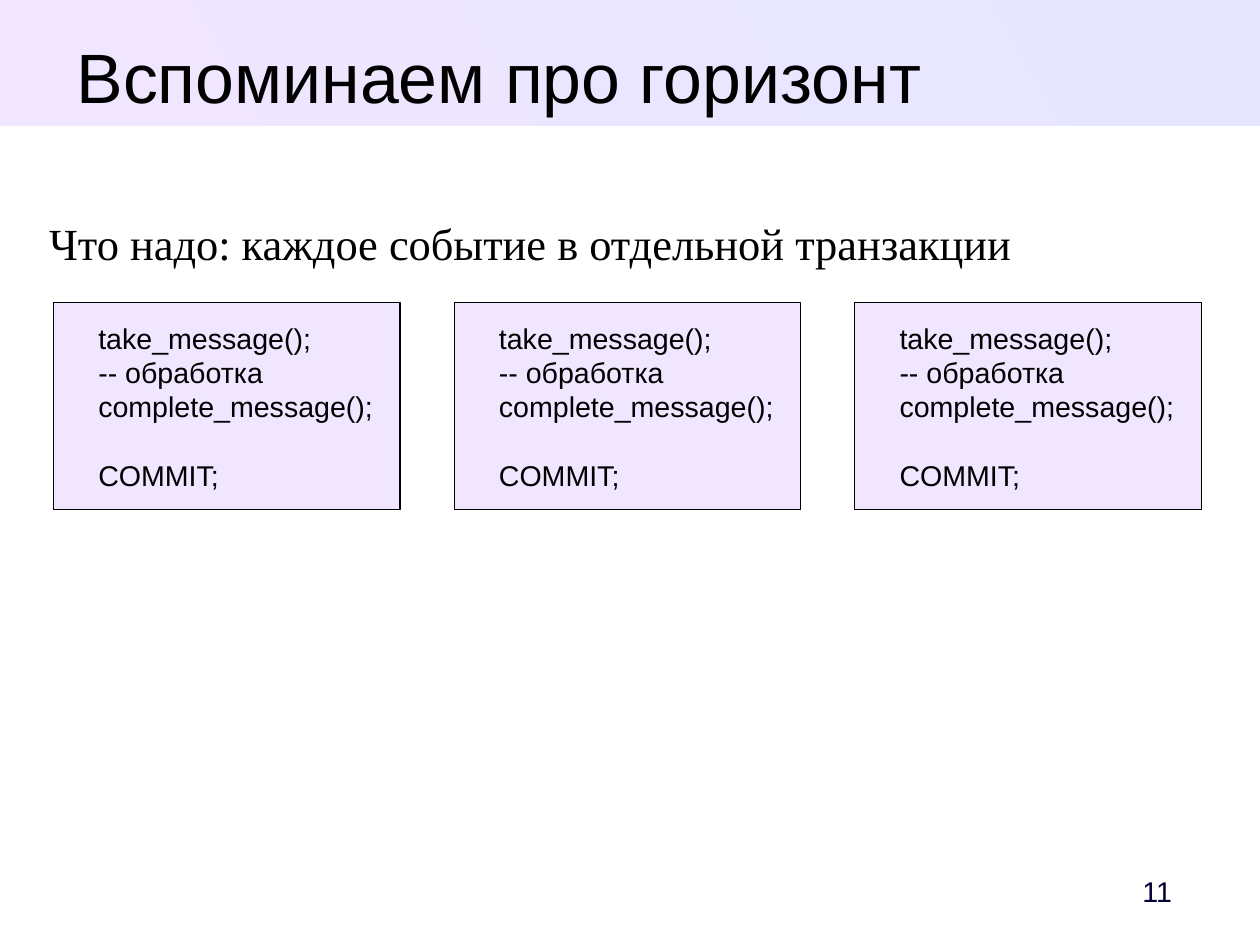
"""Build the slide about handling each event in its own transaction."""
from dataclasses import dataclass

from pptx import Presentation
from pptx.dml.color import RGBColor
from pptx.enum.shapes import MSO_SHAPE
from pptx.enum.text import MSO_ANCHOR, PP_ALIGN
from pptx.shapes.autoshape import Shape
from pptx.slide import Slide
from pptx.util import Inches, Pt

CENTIMETRES_PER_INCH = 2.54
SLIDE_WIDTH = 28 / CENTIMETRES_PER_INCH
SLIDE_HEIGHT = 21 / CENTIMETRES_PER_INCH
LAVENDER = "F0E6FF"
BLACK = "000000"
CODE_LINE_HEIGHT = 21.6
BOX_COUNT = 3
FIRST_BOX_LEFT = 0.47
LAST_BOX_LEFT = 7.48
BOX_PITCH = (LAST_BOX_LEFT - FIRST_BOX_LEFT) / (BOX_COUNT - 1)


@dataclass(frozen=True)
class Label:
    text: str
    left: float
    top: float
    width: float
    height: float
    size: float
    font: str = "Arial"
    color: str = BLACK
    align: PP_ALIGN = PP_ALIGN.LEFT
    anchor: MSO_ANCHOR = MSO_ANCHOR.TOP
    margins: tuple[float, float, float, float] = (0, 0, 0, 0)
    wrap: bool = True


LABELS = [
    Label("11", 9.69, 7.56, 0.87, 0.47, 18, color="000033", align=PP_ALIGN.CENTER,
          anchor=MSO_ANCHOR.MIDDLE, margins=(0.1, 0.05, 0.1, 0.05)),
    Label("Вспоминаем про горизонт", 0.47, 0.29, 7.8, 0.69, 44, align=PP_ALIGN.CENTER),
    Label("Что надо: каждое событие в отдельной транзакции", 0.43, 1.89, 10.08, 5.71, 28,
          font="Times New Roman"),
]
TRANSACTIONS = [
    Label("take_message();\n-- обработка\ncomplete_message();\nCOMMIT;",
          FIRST_BOX_LEFT + BOX_PITCH * index, 2.65, 3.03, 1.81, 18,
          anchor=MSO_ANCHOR.MIDDLE, margins=(0.39, 0.05, 0.1, 0.05), wrap=False)
    for index in range(BOX_COUNT)
]


def rgb(color: str) -> RGBColor:
    return RGBColor.from_string(color)


def write_label(shape: Shape, label: Label) -> None:
    frame = shape.text_frame
    frame.text = label.text
    frame.word_wrap = label.wrap
    frame.vertical_anchor = label.anchor
    (frame.margin_left, frame.margin_top,
     frame.margin_right, frame.margin_bottom) = map(Inches, label.margins)
    for paragraph in frame.paragraphs:
        paragraph.alignment = label.align
        for run in paragraph.runs:
            run.font.name = label.font
            run.font.size = Pt(label.size)
            run.font.color.rgb = rgb(label.color)


def add_rectangle(slide: Slide, left: float, top: float, width: float, height: float) -> Shape:
    shape = slide.shapes.add_shape(
        MSO_SHAPE.RECTANGLE, Inches(left), Inches(top), Inches(width), Inches(height))
    shape.shadow.inherit = False
    return shape


def add_header_band(slide: Slide) -> None:
    band = add_rectangle(slide, 0, 0, SLIDE_WIDTH, 1.1)
    band.line.fill.background()
    band.fill.gradient()
    band.fill.gradient_angle = 210
    for stop, color in zip(band.fill.gradient_stops, ("E6E6FF", LAVENDER)):
        stop.color.rgb = rgb(color)


def add_label(slide: Slide, label: Label) -> None:
    box = slide.shapes.add_textbox(
        Inches(label.left), Inches(label.top), Inches(label.width), Inches(label.height))
    write_label(box, label)


def add_transaction(slide: Slide, label: Label) -> None:
    box = add_rectangle(slide, label.left, label.top, label.width, label.height)
    box.fill.solid()
    box.fill.fore_color.rgb = rgb(LAVENDER)
    box.line.color.rgb = rgb(BLACK)
    box.line.width = Pt(0)
    write_label(box, label)
    for paragraph in box.text_frame.paragraphs:
        paragraph.line_spacing = Pt(CODE_LINE_HEIGHT)
    box.text_frame.paragraphs[-1].space_before = Pt(CODE_LINE_HEIGHT)


def main() -> None:
    presentation = Presentation()
    presentation.slide_width = Inches(SLIDE_WIDTH)
    presentation.slide_height = Inches(SLIDE_HEIGHT)
    slide = presentation.slides.add_slide(presentation.slide_layouts[6])
    add_header_band(slide)
    for label in LABELS:
        add_label(slide, label)
    for transaction in TRANSACTIONS:
        add_transaction(slide, transaction)
    presentation.save("out.pptx")


if __name__ == "__main__":
    main()
